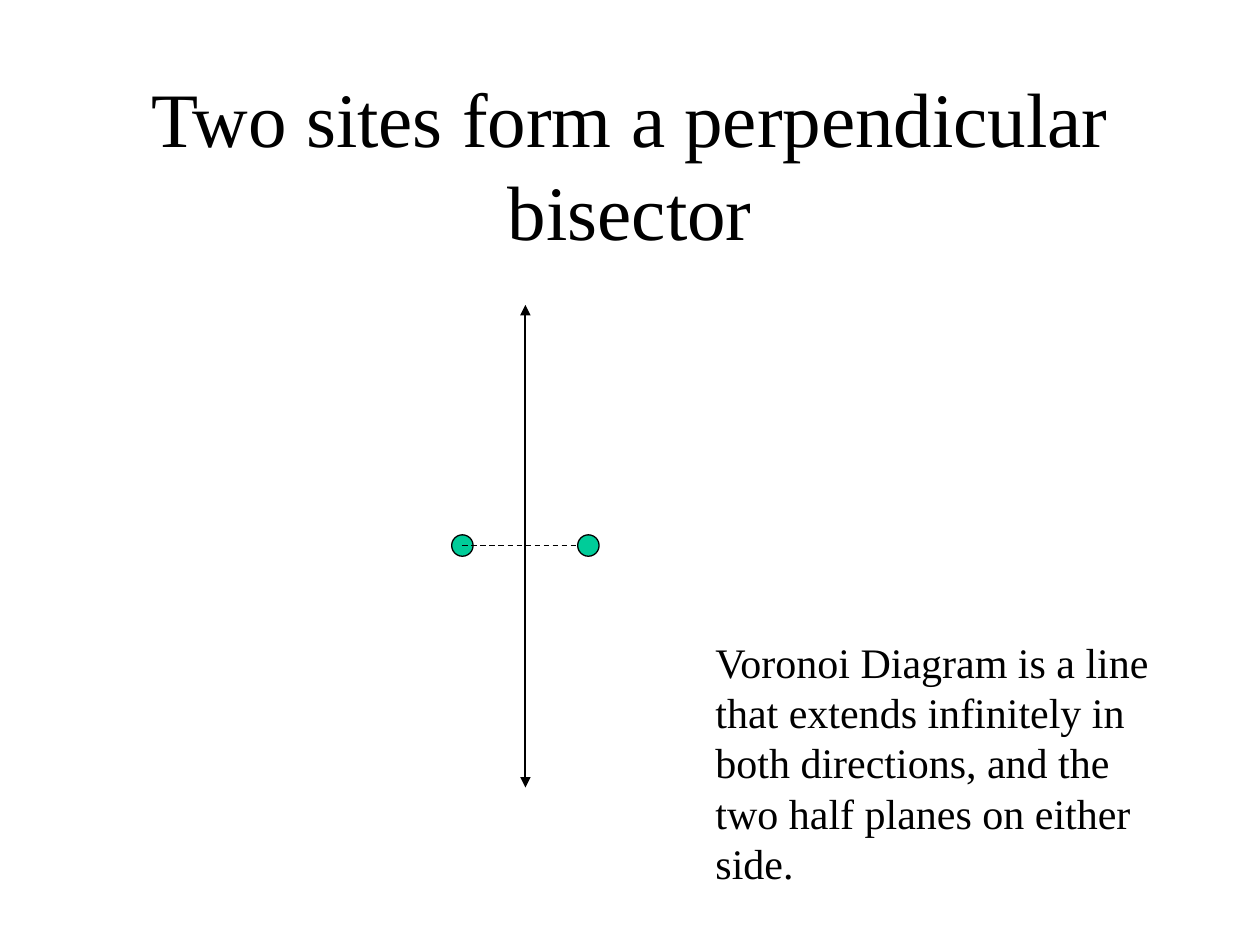
import pptx
import pptx.dml.color
import pptx.enum.dml
import pptx.enum.shapes
import pptx.enum.text
import pptx.oxml
import pptx.oxml.ns
import pptx.util
from pptx.util import Inches

ALIGN = pptx.enum.text.PP_ALIGN
ANCHOR = pptx.enum.text.MSO_ANCHOR
BLACK = "000000"
SITE_GREEN = "00CC99"


def colour(hex_value):
    return pptx.dml.color.RGBColor.from_string(hex_value)


def apply_format(target, values):
    for name, value in values.items():
        setattr(target, name, value)


class SlideBuilder:
    font_name = "Times New Roman"

    def __init__(self, slide):
        self.slide = slide

    def style_line(self, line, width):
        line.color.rgb = colour(BLACK)
        line.width = pptx.util.Pt(width)

    def text(self, left, top, width, height, text, size, frame_format, align=ALIGN.LEFT):
        box = self.slide.shapes.add_textbox(
            Inches(left), Inches(top), Inches(width), Inches(height))
        apply_format(box.text_frame, frame_format)
        paragraph = box.text_frame.paragraphs[0]
        paragraph.text = text
        paragraph.alignment = align
        for run in paragraph.runs:
            apply_format(run.font, {"name": self.font_name, "size": pptx.util.Pt(size)})
            run.font.color.rgb = colour(BLACK)

    def site(self, x, y, diameter=0.17):
        shape = self.slide.shapes.add_shape(
            pptx.enum.shapes.MSO_SHAPE.OVAL,
            Inches(x - diameter / 2), Inches(y - diameter / 2),
            Inches(diameter), Inches(diameter))
        shape.shadow.inherit = False
        shape.fill.solid()
        shape.fill.fore_color.rgb = colour(SITE_GREEN)
        self.style_line(shape.line, 0.75)

    def line(self, start, end, width, dash=None, arrows=False):
        connector = self.slide.shapes.add_connector(
            pptx.enum.shapes.MSO_CONNECTOR.STRAIGHT,
            *(Inches(value) for value in (*start, *end)))
        self.style_line(connector.line, width)
        if dash is not None:
            connector.line.dash_style = dash
        properties = connector.line._get_or_add_ln()
        for tag in ("a:headEnd", "a:tailEnd") if arrows else ():
            arrow = pptx.oxml.parse_xml(f"<{tag} {pptx.oxml.ns.nsdecls('a')} type='triangle'/>")
            properties.append(arrow)
        connector._element.spPr.append(
            pptx.oxml.parse_xml(f"<a:effectLst {pptx.oxml.ns.nsdecls('a')}/>"))


def main():
    presentation = pptx.Presentation()
    presentation.slide_width = Inches(10)
    presentation.slide_height = Inches(7.5)
    builder = SlideBuilder(presentation.slides.add_slide(presentation.slide_layouts[6]))

    # Title
    builder.text(0.75, 0.67, 8.5, 1.25, "Two sites form a perpendicular bisector", 44,
                 {"word_wrap": True, "vertical_anchor": ANCHOR.MIDDLE}, ALIGN.CENTER)

    # Two sites, the segment between them and its bisector
    middle_x, middle_y, half_distance = 4.17, 4.33, 0.5
    left_x, right_x = middle_x - half_distance, middle_x + half_distance
    builder.site(left_x, middle_y)
    builder.line((left_x, middle_y), (right_x, middle_y), 0.75,
                 dash=pptx.enum.dml.MSO_LINE.DASH)
    builder.line((middle_x, 2.42), (middle_x, 6.25), 1.25, arrows=True)
    builder.site(right_x, middle_y)

    # Explanation
    explanation = ("Voronoi Diagram is a line\nthat extends infinitely in \n"
                   "both directions, and the\ntwo half planes on either\nside.")
    builder.text(5.58, 5, 3.68, 2.1, explanation, 24,
                 {"word_wrap": False,
                  "auto_size": pptx.enum.text.MSO_AUTO_SIZE.SHAPE_TO_FIT_TEXT})

    presentation.save("out.pptx")


if __name__ == "__main__":
    main()
